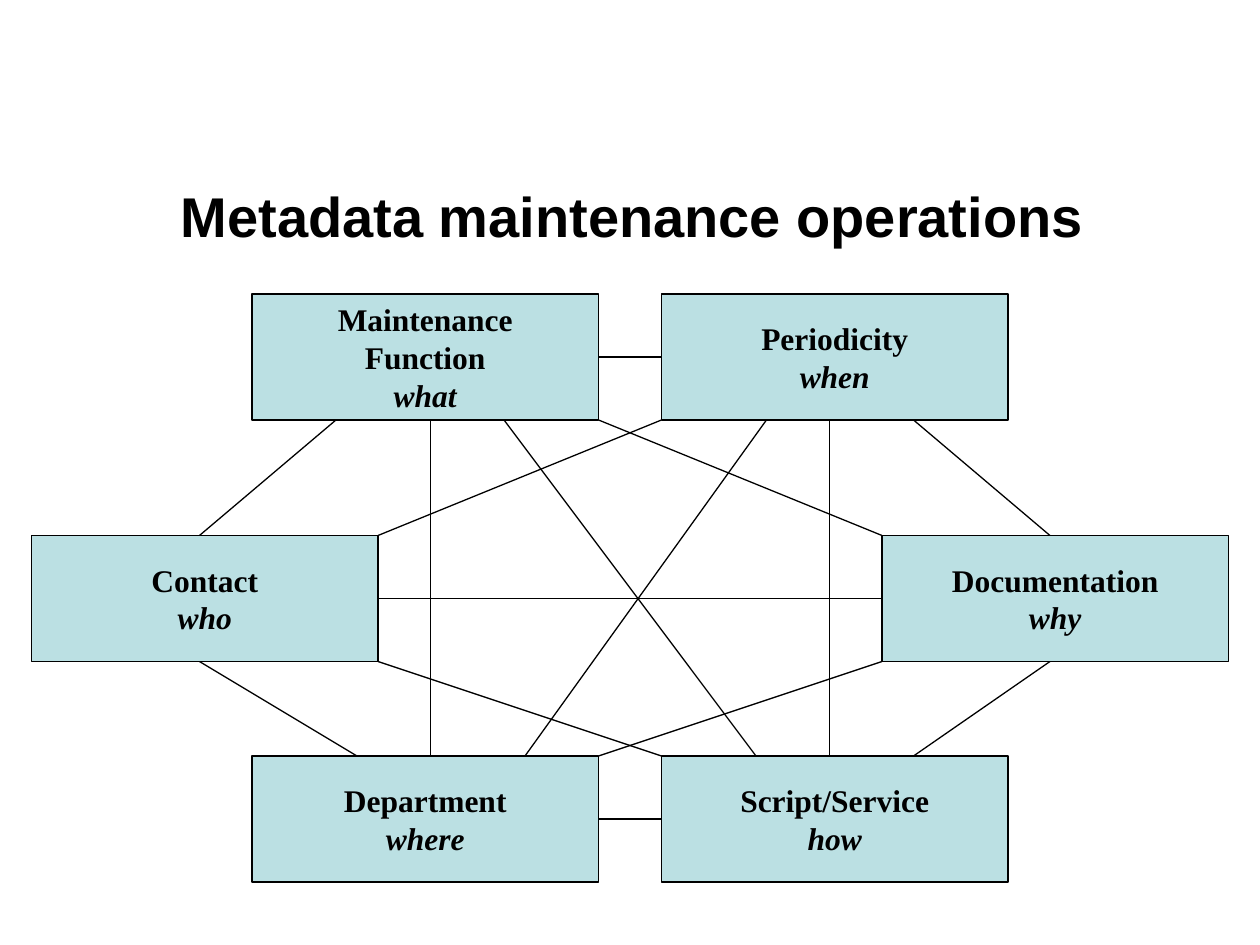
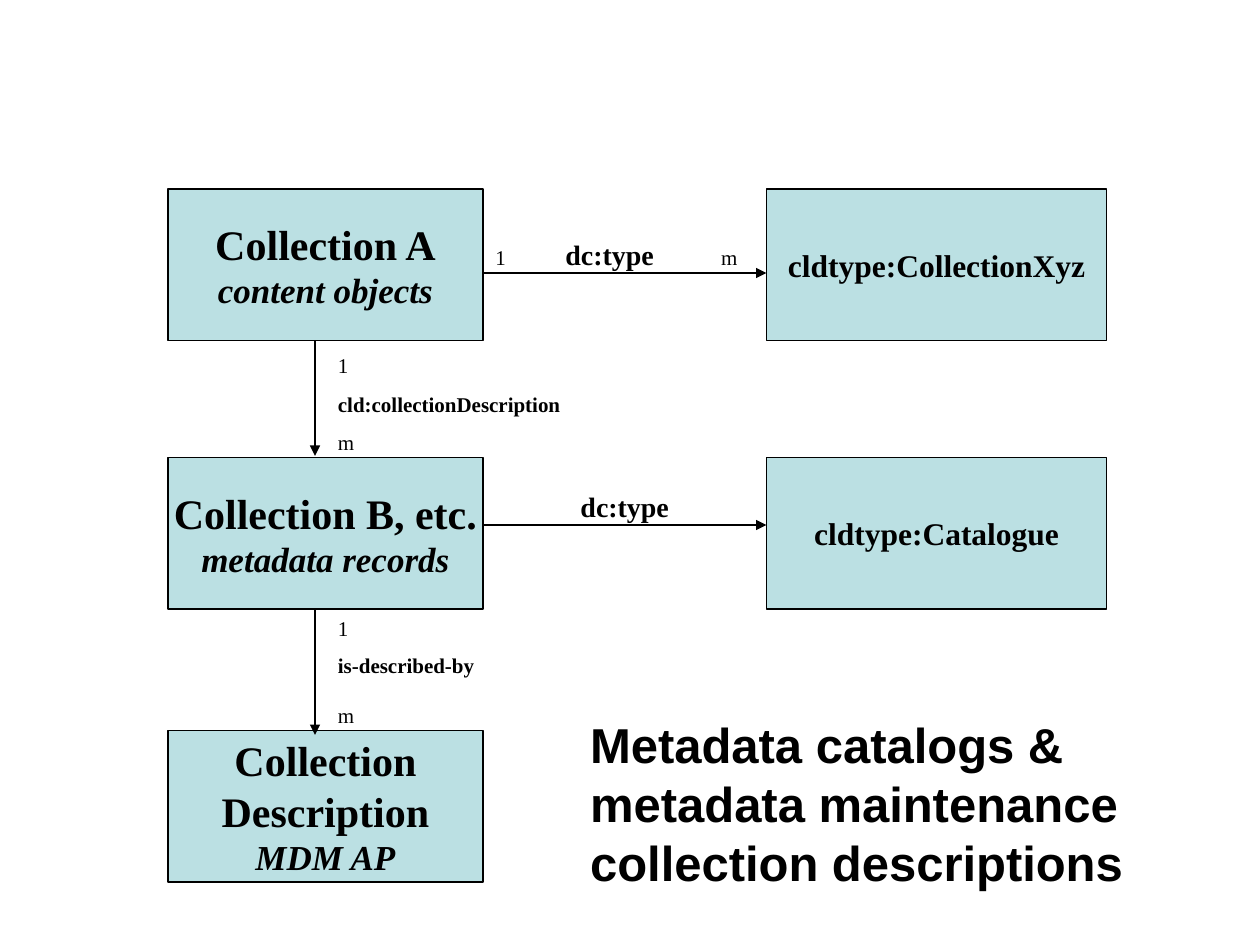
from dataclasses import dataclass

from lxml import etree
from pptx import Presentation
from pptx.dml.color import RGBColor
from pptx.enum.shapes import MSO_CONNECTOR, MSO_SHAPE
from pptx.enum.text import MSO_ANCHOR, MSO_AUTO_SIZE, PP_ALIGN
from pptx.oxml.ns import qn
from pptx.util import Pt

LEFT, CENTER = PP_ALIGN.LEFT, PP_ALIGN.CENTER
TOP, MIDDLE = MSO_ANCHOR.TOP, MSO_ANCHOR.MIDDLE
NO_AUTOFIT = MSO_AUTO_SIZE.NONE
RECTANGLE, STRAIGHT = MSO_SHAPE.RECTANGLE, MSO_CONNECTOR.STRAIGHT
TITLE_ONLY = 5


@dataclass(frozen=True)
class Theme:
    ink: RGBColor = RGBColor(0x00, 0x00, 0x00)
    box_fill: RGBColor = RGBColor(0xBB, 0xE0, 0xE3)
    title_font: str = "Arial"
    text_font: str = "Times New Roman"
    title: int = 32
    long_title: int = 28
    collection: int = 24
    collection_detail: int = 20
    box: int = 18
    relation: int = 16
    small: int = 12
    line: float = 0.75


THEME = Theme()

# Operations: name lines, question, left and top of the box
OPERATIONS_TITLE = "Metadata maintenance operations"
OPERATION_SIZE = (198, 72)
OPERATIONS = {
    "what": (["Maintenance", "Function"], 144, 168),
    "when": (["Periodicity"], 378, 168),
    "who": (["Contact"], 18, 306),
    "why": (["Documentation"], 504, 306),
    "where": (["Department"], 144, 432),
    "how": (["Script/Service"], 378, 432),
}
# Each end of a link: operation, then offset from the box's top left corner
LINKS = [
    (("what", 198, 36), ("when", 0, 36)),
    (("where", 198, 36), ("how", 0, 36)),
    (("who", 198, 36), ("why", 0, 36)),
    (("when", 96, 72), ("how", 96, 0)),
    (("what", 102, 72), ("where", 102, 0)),
    (("when", 144, 72), ("why", 96, 0)),
    (("what", 48, 72), ("who", 96, 0)),
    (("who", 96, 72), ("where", 60, 0)),
    (("why", 96, 72), ("how", 144, 0)),
    (("when", 0, 72), ("who", 198, 0)),
    (("what", 198, 72), ("why", 0, 0)),
    (("why", 0, 72), ("where", 198, 0)),
    (("who", 198, 72), ("how", 0, 0)),
    (("what", 144, 72), ("how", 54, 0)),
    (("when", 60, 72), ("where", 156, 0)),
]

CATALOGS_TITLE = "Metadata catalogs & metadata maintenance collection descriptions"
# One row each: top, collection name lines, detail, type
COLLECTIONS = [
    (108, ["Collection A"], "content objects", "cldtype:CollectionXyz"),
    (261.5, ["Collection B, etc."], "metadata records", "cldtype:Catalogue"),
    (417.5, ["Collection", "Description"], "MDM AP", None),
]
COLLECTION_LEFT, COLLECTION_WIDTH, ROW_HEIGHT = 96, 180, 86.5
TYPE_LEFT, TYPE_WIDTH = 438, 194.5
COLLECTION_RIGHT = COLLECTION_LEFT + COLLECTION_WIDTH
TYPE_ARROW_TOPS = [156, 300]
DESCRIPTION_ARROW_X = 180
DESCRIPTION_ARROWS = [(194.5, 260.5), (348, 420)]
TYPE_RELATION = "dc:type"
CARDINALITY_TABS = [40, 129]
# Area of the label, then text, bold and space before of each line
DESCRIPTION_LABELS = [
    ((186, 198, 162, 65),
     [("1", False, 0), ("cld:collectionDescription", True, 7.5), ("m", False, 7.5)]),
    ((186, 348, 162, 72),
     [("1", False, 0), ("is-described-by", True, 7), ("m", False, 14)]),
]


def points(*lengths):
    return [Pt(length) for length in lengths]


def write(paragraph, text, size, bold=False, italic=False,
          font=THEME.text_font, align=None, before=None):
    """Add one formatted run; align and before apply to its paragraph."""
    if align is not None:
        paragraph.alignment = align
    if before:
        paragraph.space_before = Pt(before)
    run = paragraph.add_run()
    run.text = text
    run.font.name, run.font.size = font, Pt(size)
    run.font.bold, run.font.italic = bold, italic
    run.font.color.rgb = THEME.ink


def next_paragraph(frame):
    first = frame.paragraphs[0]
    return frame.add_paragraph() if first.runs else first


def add_titled_slide(deck, title, area, size):
    slide = deck.slides.add_slide(deck.slide_layouts[TITLE_ONLY])
    heading = slide.shapes.title
    heading.left, heading.top, heading.width, heading.height = points(*area)
    frame = heading.text_frame
    frame.auto_size, frame.vertical_anchor = NO_AUTOFIT, MIDDLE
    write(frame.paragraphs[0], title, size, bold=True,
          font=THEME.title_font, align=LEFT)
    return slide


def add_box(slide, area, names, size, detail=None, detail_size=None):
    box = slide.shapes.add_shape(RECTANGLE, *points(*area))
    box.shadow.inherit = False
    box.fill.solid()
    box.fill.fore_color.rgb = THEME.box_fill
    box.line.color.rgb, box.line.width = THEME.ink, Pt(THEME.line)
    frame = box.text_frame
    frame.word_wrap, frame.vertical_anchor = False, MIDDLE
    for name in names:
        write(next_paragraph(frame), name, size, bold=True, align=CENTER)
    if detail:
        write(next_paragraph(frame), detail, detail_size or size,
              bold=True, italic=True, align=CENTER)


def add_line(slide, start, end, arrow=False):
    line = slide.shapes.add_connector(STRAIGHT, *points(*start, *end))
    line.line.color.rgb, line.line.width = THEME.ink, Pt(THEME.line)
    if arrow:
        etree.SubElement(line.line._get_or_add_ln(), qn("a:tailEnd"), type="triangle")
    etree.SubElement(line._element.spPr, qn("a:effectLst"))


def add_label(slide, area):
    frame = slide.shapes.add_textbox(*points(*area)).text_frame
    frame.word_wrap, frame.vertical_anchor = True, TOP
    return frame


def set_tabs(paragraph, stops):
    tabs = etree.SubElement(paragraph._p.get_or_add_pPr(), qn("a:tabLst"))
    for stop in stops:
        etree.SubElement(tabs, qn("a:tab"), pos=str(Pt(stop)), algn="l")


def build_operations(deck):
    slide = add_titled_slide(deck, OPERATIONS_TITLE, (96, 78, 612, 90), THEME.title)

    def link_end(question, dx, dy):
        _, left, top = OPERATIONS[question]
        return left + dx, top + dy

    for start, end in LINKS:
        add_line(slide, link_end(*start), link_end(*end))
    for question, (names, left, top) in OPERATIONS.items():
        add_box(slide, (left, top, *OPERATION_SIZE), names, THEME.box, question)


def build_catalogs(deck):
    slide = add_titled_slide(deck, CATALOGS_TITLE, (330, 414, 354, 90),
                             THEME.long_title)
    for top, names, detail, collection_type in COLLECTIONS:
        add_box(slide, (COLLECTION_LEFT, top, COLLECTION_WIDTH, ROW_HEIGHT), names,
                THEME.collection, detail, THEME.collection_detail)
        if collection_type:
            add_box(slide, (TYPE_LEFT, top, TYPE_WIDTH, ROW_HEIGHT),
                    [collection_type], THEME.box)
    for y in TYPE_ARROW_TOPS:
        add_line(slide, (COLLECTION_RIGHT, y), (TYPE_LEFT, y), arrow=True)
    for start, end in DESCRIPTION_ARROWS:
        add_line(slide, (DESCRIPTION_ARROW_X, start), (DESCRIPTION_ARROW_X, end),
                 arrow=True)

    cardinality = add_label(slide, (276, 132, 156, 41)).paragraphs[0]
    set_tabs(cardinality, CARDINALITY_TABS)
    write(cardinality, "1\t", THEME.small, align=LEFT)
    write(cardinality, TYPE_RELATION, THEME.relation, bold=True)
    write(cardinality, "\tm", THEME.small)

    relation = add_label(slide, (282, 276, 150, 26.5)).paragraphs[0]
    write(relation, TYPE_RELATION, THEME.relation, bold=True, align=CENTER)

    for area, lines in DESCRIPTION_LABELS:
        frame = add_label(slide, area)
        for text, bold, before in lines:
            write(next_paragraph(frame), text, THEME.small, bold=bold, before=before)


def main():
    deck = Presentation()
    deck.slide_width, deck.slide_height = points(720, 540)
    build_operations(deck)
    build_catalogs(deck)
    deck.save("out.pptx")


if __name__ == "__main__":
    main()
